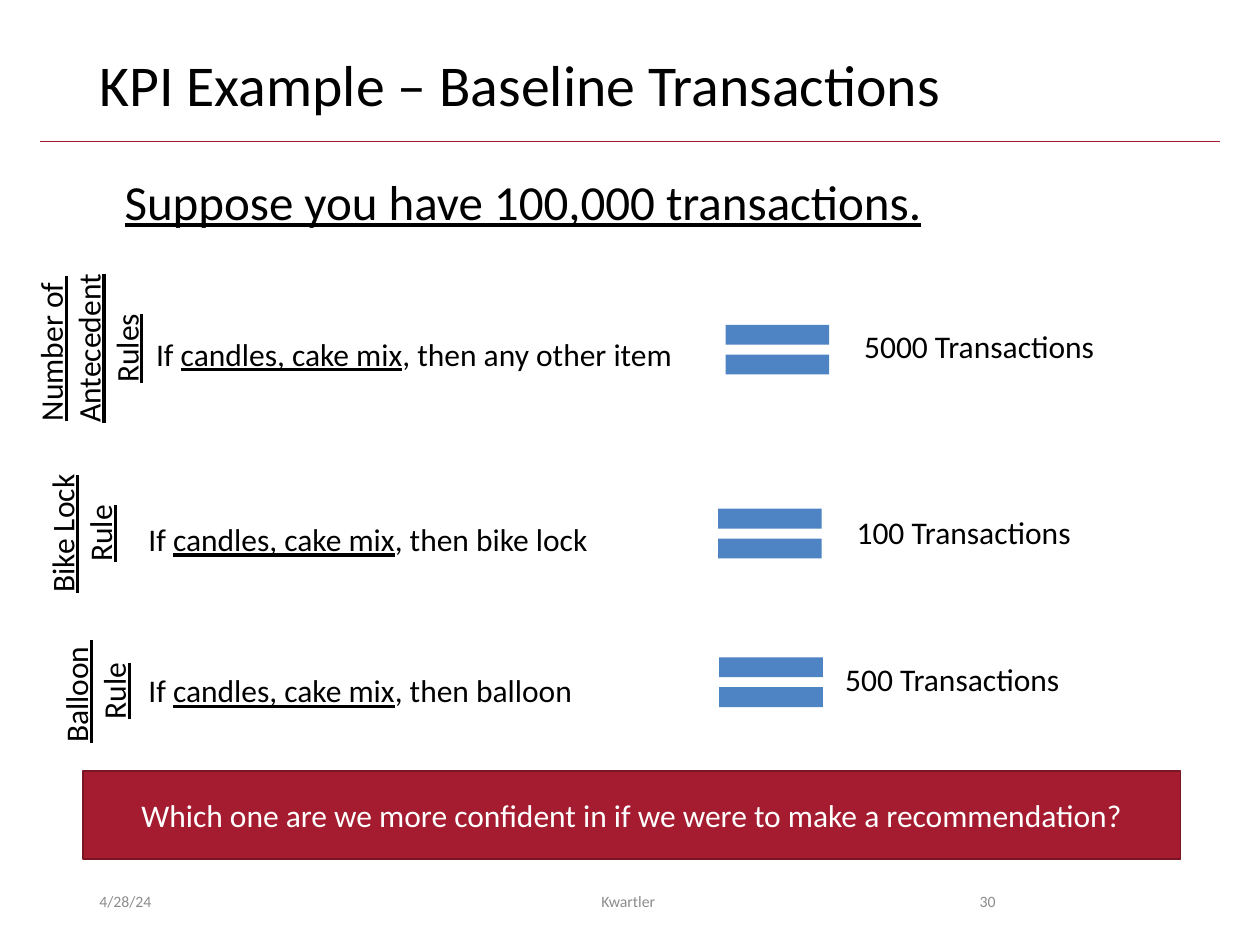
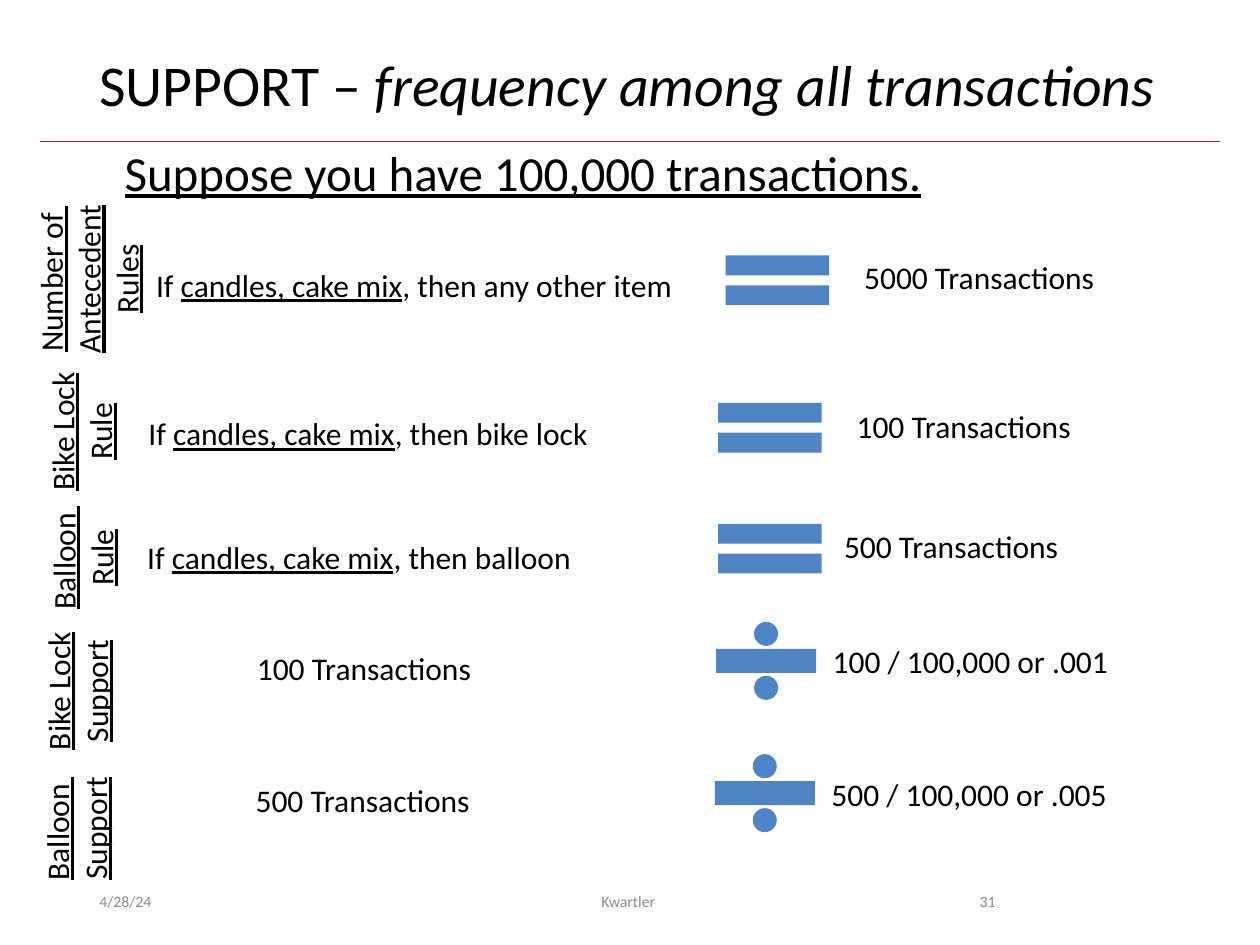
"""Build two slides on rule counts and support."""
import dataclasses

import pptx
import pptx.dml.color
import pptx.enum.shapes
import pptx.enum.text
import pptx.oxml.ns
import pptx.util
from lxml import etree

Inches = pptx.util.Inches
RGBColor = pptx.dml.color.RGBColor
SHAPES = pptx.enum.shapes.MSO_SHAPE
ALIGN = pptx.enum.text.PP_ALIGN
ANCHOR = pptx.enum.text.MSO_ANCHOR

CRIMSON = RGBColor(0xA5, 0x1C, 0x30)
DARK_CRIMSON = RGBColor(0x7A, 0x15, 0x24)
BLUE = RGBColor(0x4E, 0x84, 0xC4)
BLACK = RGBColor(0, 0, 0)
GREY = RGBColor(0x8C, 0x8C, 0x8C)
WHITE = RGBColor(0xFF, 0xFF, 0xFF)
FONT = "Calibri"

EQUAL_SIZE = (1.12, 0.67)
DIVIDE_SIZE = (1.08, 0.81)


@dataclasses.dataclass
class Row:
    """Content of a row, with offsets from the corner of its sign."""

    label: list
    label_size: tuple
    statement: list
    statement_box: tuple
    result: str
    result_box: tuple
    sign: int = SHAPES.MATH_EQUAL
    sign_size: tuple = EQUAL_SIZE


def if_then(outcome):
    """Return the spans of a rule with its antecedent underlined."""
    return [("If ", {}), ("candles, cake mix", {"underline": True}), (f", then {outcome}", {})]


def support_row(item, label_width, count, count_width, share):
    """Return a row that divides a rule's count by all transactions."""
    return Row([item, "Support"], (label_width, 0.71), [(f"{count} Transactions", {})],
               (-3.6, 0.26, count_width, 0.4), f"{count} / 100,000 or {share}",
               (0.97, 0.21, 2.41, 0.4), SHAPES.MATH_DIVIDE, DIVIDE_SIZE)


ANTECEDENT = Row(["Number of ", "Antecedent", "Rules"], (1.39, 1.01),
                 if_then("any other item"), (-4.47, 0.17, 4.35, 0.4),
                 "5000 Transactions", (1.15, 0.11, 2.05, 0.4))
BIKE_LOCK = Row(["Bike Lock", "Rule"], (1.15, 0.71),
                if_then("bike lock"), (-4.47, 0.18, 3.73, 0.4),
                "100 Transactions", (1.15, 0.12, 1.92, 0.4))
BALLOON = Row(["Balloon ", "Rule"], (1.03, 0.71),
              if_then("balloon"), (-4.48, 0.2, 3.6, 0.4),
              "500 Transactions", (1.05, 0.11, 1.92, 0.4))
BIKE_LOCK_SUPPORT = support_row("Bike Lock", 1.15, 100, 1.92, ".001")
BALLOON_SUPPORT = support_row("Balloon ", 1.03, 500, 1.98, ".005")


def write_text(shape, paras, size=18, color=BLACK, align=ALIGN.LEFT, anchor=ANCHOR.TOP,
               wrap=True, underline=False, line_spacing=None):
    """Fill a shape with paragraphs, each a string or a list of spans."""
    frame = shape.text_frame
    frame.word_wrap = wrap
    frame.vertical_anchor = anchor
    if not wrap:
        frame.auto_size = pptx.enum.text.MSO_AUTO_SIZE.SHAPE_TO_FIT_TEXT
    for index, spans in enumerate(paras):
        para = frame.add_paragraph() if index else frame.paragraphs[0]
        para.alignment = align
        para.line_spacing = line_spacing
        for text, style in [(spans, {})] if isinstance(spans, str) else spans:
            span = para.add_run()
            span.text = text
            span.font.name = FONT
            span.font.size = pptx.util.Pt(size)
            span.font.color.rgb = color
            span.font.underline = style.get("underline", underline)
            span.font.italic = style.get("italic", False)


def add_text(page, box, paras, **style):
    """Add a text box and return it."""
    shape = page.shapes.add_textbox(*map(Inches, box))
    write_text(shape, paras, **style)
    return shape


def add_solid(page, kind, box, fill, line=None):
    """Add a filled preset shape and return it."""
    shape = page.shapes.add_shape(kind, *map(Inches, box))
    shape.shadow.inherit = False
    shape.fill.solid()
    shape.fill.fore_color.rgb = fill
    if line is None:
        shape.line.fill.background()
    else:
        shape.line.color.rgb = line
        shape.line.width = pptx.util.Pt(1)
    return shape


def add_frame(page, title, number):
    """Add the title, its rule and the footer."""
    rule = page.shapes.add_connector(pptx.enum.shapes.MSO_CONNECTOR.STRAIGHT,
                                     *map(Inches, (0.32, 1.12, 9.68, 1.12)))
    rule.line.color.rgb = CRIMSON
    rule.line.width = pptx.util.Pt(0.5)
    etree.SubElement(rule.element.spPr, pptx.oxml.ns.qn("a:effectLst"))
    add_text(page, (0.69, 0.4, 8.62, 0.65), [title], size=33, line_spacing=0.9)
    footers = [(0.69, 2.25, "4/28/24", ALIGN.LEFT),
               (3.31, 3.38, "Kwartler ", ALIGN.CENTER),
               (7.06, 0.94, str(number), ALIGN.RIGHT)]
    for left, width, text, align in footers:
        add_text(page, (left, 6.95, width, 0.4), [text], size=9, color=GREY,
                 align=align, anchor=ANCHOR.MIDDLE)


def add_row(page, row, left, top, label_left, label_top):
    """Add a row whose sign has its corner at left, top."""
    label = add_text(page, (label_left, label_top, *row.label_size), row.label,
                     align=ALIGN.CENTER, underline=True, wrap=False)
    label.rotation = 270
    for (dx, dy, *size), text in ((row.statement_box, row.statement),
                                  (row.result_box, row.result)):
        add_text(page, (left + dx, top + dy, *size), [text], wrap=False)
    add_solid(page, row.sign, (left, top, *row.sign_size), BLUE)


def add_rules_page(deck, title, number, premise_top, rows):
    """Add a slide with its premise and rows, and return it."""
    page = deck.slides.add_slide(deck.slide_layouts[6])
    add_frame(page, title, number)
    add_text(page, (0.89, premise_top, 6.61, 0.57),
             ["Suppose you have 100,000 transactions."], size=28, underline=True, wrap=False)
    for row, *place in rows:
        add_row(page, row, *place)
    return page


def add_question(page, box, text):
    """Add the closing question band."""
    band = add_solid(page, SHAPES.RECTANGLE, box, CRIMSON, DARK_CRIMSON)
    write_text(band, [text], color=WHITE, align=ALIGN.CENTER, anchor=ANCHOR.MIDDLE)


def main():
    """Build and save the deck."""
    deck = pptx.Presentation()
    deck.slide_width, deck.slide_height = Inches(10), Inches(7.5)
    baseline = add_rules_page(deck, "KPI Example – Baseline Transactions", 30, 1.31, [
        (ANTECEDENT, 5.61, 2.44, 0.01, 2.26),
        (BIKE_LOCK, 5.55, 3.9, 0.07, 3.88),
        (BALLOON, 5.56, 5.08, 0.24, 5.13),
    ])
    add_question(baseline, (0.66, 6.12, 8.71, 0.7),
                 "Which one are we more confident in if we were to make a recommendation?")
    support_title = [("SUPPORT – ", {}),
                     ("frequency among all transactions", {"italic": True})]
    add_rules_page(deck, support_title, 31, 1.08, [
        (ANTECEDENT, 5.61, 1.89, 0.01, 1.71),
        (BIKE_LOCK, 5.55, 3.06, 0.07, 3.07),
        (BALLOON, 5.55, 4.02, 0.14, 4.07),
        (BIKE_LOCK_SUPPORT, 5.54, 4.84, 0.04, 5.13),
        (BALLOON_SUPPORT, 5.53, 5.89, 0.09, 6.22),
    ])
    deck.save("out.pptx")


if __name__ == "__main__":
    main()
